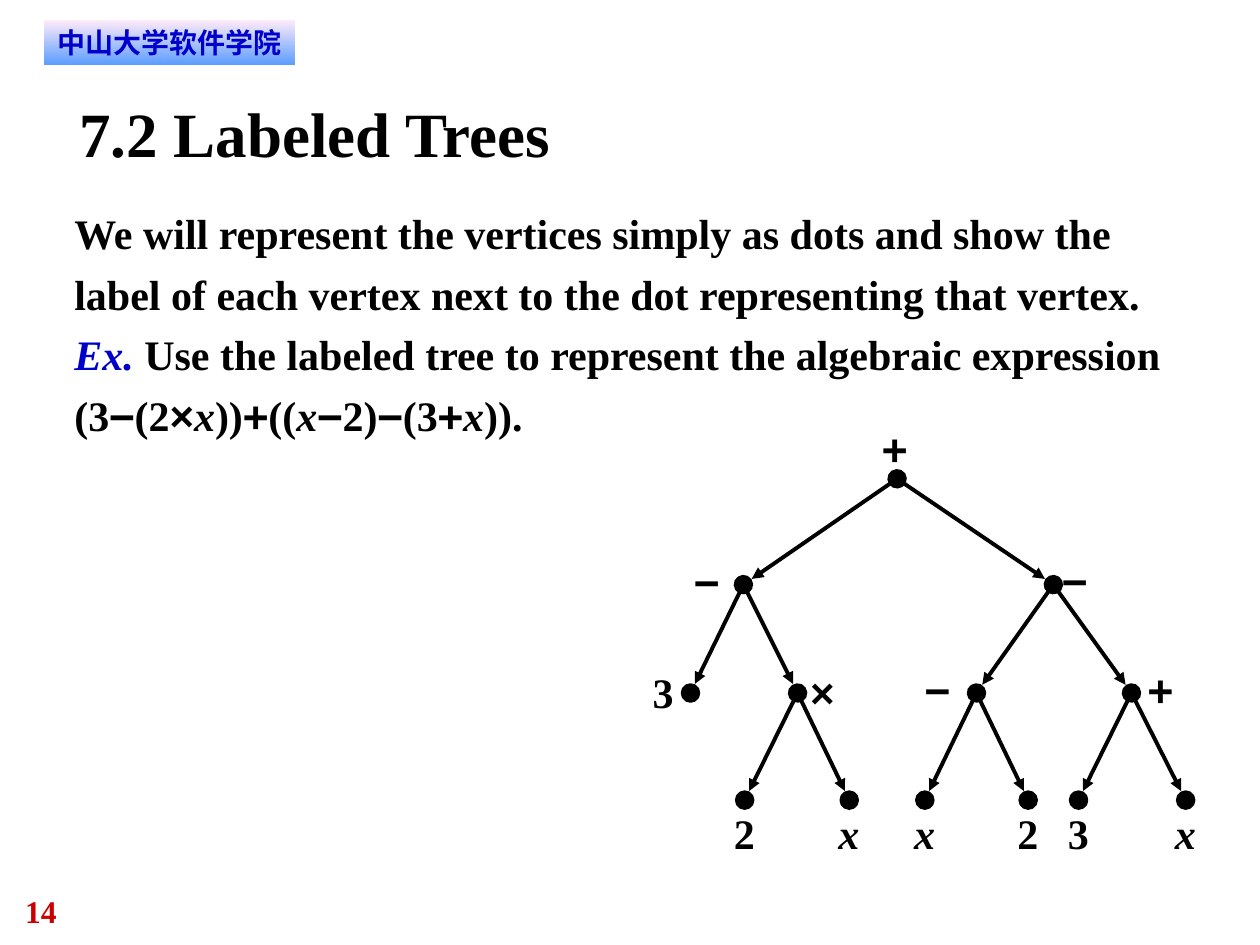
from dataclasses import dataclass
from itertools import groupby
from math import hypot

from lxml.etree import SubElement
from pptx import Presentation
from pptx.dml.color import RGBColor as Color
from pptx.enum.shapes import MSO_CONNECTOR as Connector, MSO_SHAPE as Shape
from pptx.enum.text import MSO_ANCHOR as Anchor, MSO_AUTO_SIZE as AutoSize, PP_ALIGN as Align
from pptx.oxml.ns import qn
from pptx.util import Inches, Pt

COLUMNS, ROWS = 100, 75
WIDTH, HEIGHT = Inches(10), Inches(7.5)


@dataclass(frozen=True)
class Theme:
    ink: str = "000000"
    accent: str = "0000CC"
    number: str = "CC0000"
    banner_top: str = "FFEBFA"
    banner_bottom: str = "5E9EFF"
    roman: str = "Times New Roman"
    mono: str = "DejaVu Sans Mono"
    sans: str = "DejaVu Sans"
    symbol: str = "Arial"
    title_size: float = 36
    body_size: float = 24
    number_size: float = 18
    banner_size: float = 16
    edge_width: float = 2.25
    dot_width: float = 2.5


@dataclass(frozen=True)
class Span:
    text: str
    size: float
    color: str
    font: str
    italic: bool = False


@dataclass(frozen=True)
class Node:
    x: float
    y: float
    label: str
    offset: tuple = (-0.85, 0.6)
    children: tuple = ()


class SlideBuilder:
    def __init__(self, deck, theme):
        self.theme = theme
        self.page = deck.slides.add_slide(deck.slide_layouts[5])
        self.canvas = self.page.shapes

    def place(self, left, top, width, height):
        return (round(left * WIDTH / COLUMNS), round(top * HEIGHT / ROWS),
                round(width * WIDTH / COLUMNS), round(height * HEIGHT / ROWS))

    def span(self, text, size=None, color=None, font=None, italic=False):
        theme = self.theme
        return Span(text, size or theme.body_size, color or theme.ink, font or theme.roman, italic)

    def formula(self, text):
        fonts = {"−": self.theme.mono, "+": self.theme.mono, "×": self.theme.symbol}
        groups = groupby(text, lambda sign: (fonts.get(sign), sign == "x"))
        return [self.span("".join(signs), font=font, italic=italic)
                for (font, italic), signs in groups]

    def fill_text(self, box, paragraphs, align=Align.LEFT, spacing=None, wrap=True, inset=(0, 0)):
        frame = box.text_frame
        frame.word_wrap = wrap
        frame.auto_size = AutoSize.SHAPE_TO_FIT_TEXT
        frame.vertical_anchor = Anchor.TOP
        frame.margin_left = frame.margin_right = Inches(inset[0])
        frame.margin_top = frame.margin_bottom = Inches(inset[1])
        for index, spans in enumerate(paragraphs):
            para = frame.add_paragraph() if index else frame.paragraphs[0]
            para.alignment = align
            if spacing:
                para.line_spacing = spacing
            for span in spans:
                run = para.add_run()
                run.text = span.text
                run.font.size = Pt(span.size)
                run.font.bold = True
                run.font.italic = span.italic
                run.font.color.rgb = Color.from_string(span.color)
                run.font.name = span.font
                SubElement(run.font._element, qn("a:ea"), typeface=span.font)

    def title(self, text, *area):
        box = self.page.shapes.title
        box.left, box.top, box.width, box.height = self.place(*area)
        self.fill_text(box, [[self.span(text, self.theme.title_size)]])

    def text(self, paragraphs, *area, **style):
        self.fill_text(self.canvas.add_textbox(*self.place(*area)), paragraphs, **style)

    def banner(self, text, *area):
        theme = self.theme
        box = self.canvas.add_shape(Shape.RECTANGLE, *self.place(*area))
        box.shadow.inherit = False
        box.line.fill.background()
        box.fill.gradient()
        box.fill.gradient_angle = 270
        for stop, color in zip(box.fill.gradient_stops, (theme.banner_top, theme.banner_bottom)):
            stop.color.rgb = Color.from_string(color)
        caption = self.span(text, theme.banner_size, theme.accent, theme.sans)
        self.fill_text(box, [[caption]], align=Align.CENTER, inset=(0.08, 0.04))

    def dot(self, node, size=1.2):
        area = self.place(node.x - size / 2, node.y - size / 2, size, size)
        shape = self.canvas.add_shape(Shape.OVAL, *area)
        shape.shadow.inherit = False
        shape.fill.solid()
        shape.fill.fore_color.rgb = Color.from_string(self.theme.ink)
        shape.line.color.rgb = Color.from_string(self.theme.ink)
        shape.line.width = Pt(self.theme.dot_width)

    def edge(self, parent, child, rooted, gap=0.8):
        run, rise = parent.x - child.x, parent.y - child.y
        share = gap / hypot(run, rise)
        ends = self.place(parent.x, parent.y, child.x + run * share, child.y + rise * share)
        line = self.canvas.add_connector(Connector.STRAIGHT, *ends)
        line.line.color.rgb = Color.from_string(self.theme.ink)
        line.line.width = Pt(self.theme.edge_width)
        outline = line.line._get_or_add_ln()
        if rooted:
            SubElement(outline, qn("a:headEnd"), type="oval", w="lg", len="lg")
        SubElement(outline, qn("a:tailEnd"), type="triangle", w="med", len="med")
        SubElement(line._element.spPr, qn("a:effectLst"))

    def branch(self, node):
        for index, child in enumerate(node.children):
            self.edge(node, child, rooted=index == 0)
            self.branch(child)
        if not node.children:
            self.dot(node)
        across, down = node.offset
        width = 1.7 if node.label.isalnum() else 2.8 if node.label == "−" else 1.9
        self.text([self.formula(node.label)], node.x + across, node.y + down, width, 4, wrap=False)

    def tree(self, root):
        self.canvas = self.page.shapes.add_group_shape().shapes
        self.branch(root)
        self.canvas = self.page.shapes


def expression_tree():
    level = [38, 46.4, 55, 63.5]

    def leaf(x, label):
        return Node(x, level[3], label)

    product = Node(63.3, level[2], "×", (1, -2.1), (leaf(59.1, "2"), leaf(67.4, "x")))
    three = Node(54.8, level[2], "3", (-3, -2.1))
    left = Node(59, level[1], "−", (-3.9, -2.3), (three, product))
    minus = Node(77.5, level[2], "−", (-4.1, -2.3), (leaf(73.4, "x"), leaf(81.6, "2")))
    plus = Node(89.8, level[2], "+", (1.3, -2.3), (leaf(85.6, "3"), leaf(94.1, "x")))
    right = Node(83.6, level[1], "−", (0.7, -2.4), (minus, plus))
    return Node(71.2, level[0], "+", (-1.2, -4.5), (left, right))


def main():
    deck = Presentation()
    deck.slide_width, deck.slide_height = WIDTH, HEIGHT
    theme = Theme()
    slide = SlideBuilder(deck, theme)
    slide.text([[slide.span("14", theme.number_size, theme.number)]], 2, 70.8, 7.5, 3)
    slide.banner("中山大学软件学院", 3.5, 1.6, 19.9, 3.5)
    slide.title("7.2 Labeled Trees", 6.3, 7.5, 87.5, 6)
    intro = [slide.span("We will represent the vertices simply as dots and show the "
                        "label of each vertex next to the dot representing that vertex.")]
    example = [slide.span("Ex.", color=theme.accent, italic=True),
               slide.span(" Use the labeled tree to represent the algebraic expression "),
               *slide.formula("(3−(2×x))+((x−2)−(3+x)).")]
    slide.text([intro, example], 5.9, 15.7, 87.6, 19.2, spacing=1.2)
    slide.tree(expression_tree())
    deck.save("out.pptx")


if __name__ == "__main__":
    main()
